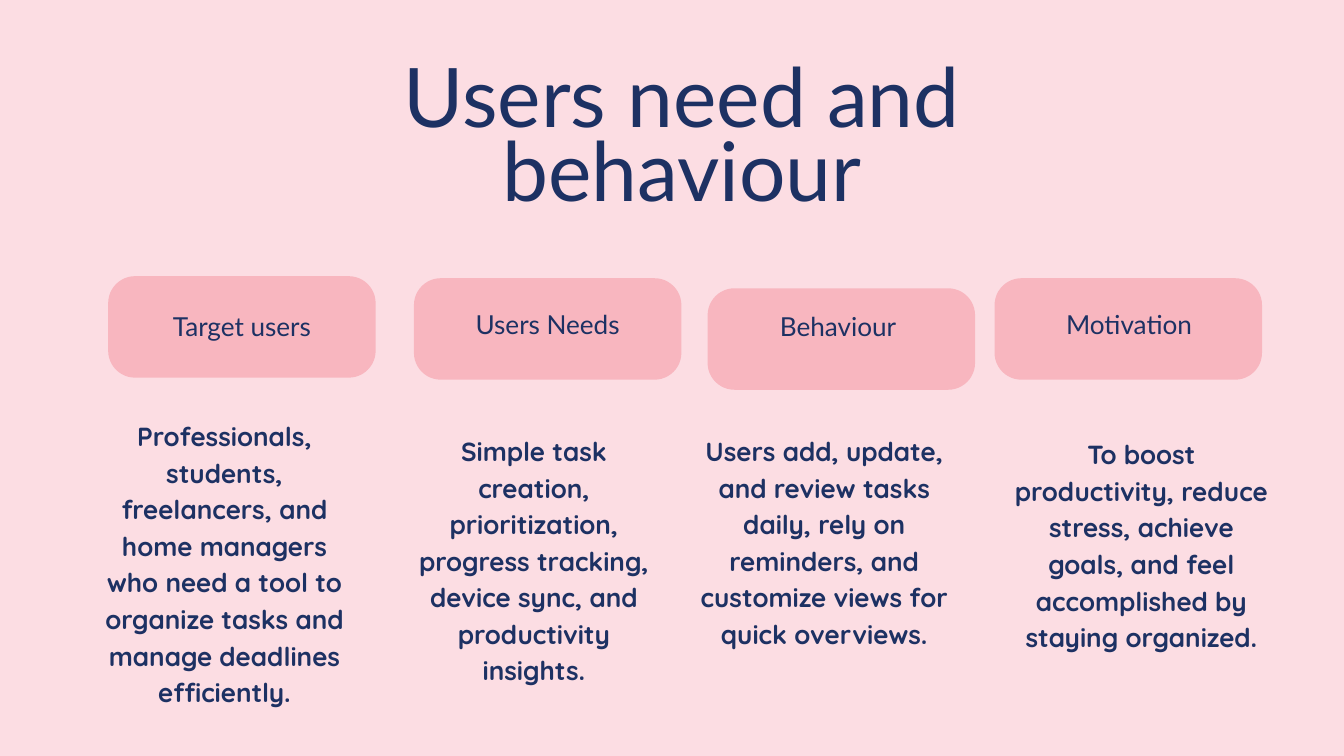
from pptx import Presentation
from pptx.dml.color import RGBColor
from pptx.enum.shapes import MSO_SHAPE
from pptx.enum.text import MSO_ANCHOR, MSO_AUTO_SIZE, PP_ALIGN
from pptx.util import Inches, Pt

ROUNDED = MSO_SHAPE.ROUNDED_RECTANGLE
TOP, CENTER, NO_FIT = MSO_ANCHOR.TOP, PP_ALIGN.CENTER, MSO_AUTO_SIZE.NONE
PINK, ROSE, NAVY = "FCDDE3", "F8B6BF", "1D3163"
CARD_W, CARD_H, CORNER = 3.98, 1.51, 0.4

# Content: each box is left, top, width, height in inches
TITLE = "Users need and behaviour"
COLUMNS = [
    {"card": (1.61, 4.11), "label": "Target users", "label_box": (1.92, 4.54, 3.36, 0.59),
     "body": "Professionals, students, freelancers, and home managers who need "
             "a tool to organize tasks and manage deadlines efficiently.",
     "body_box": (1.4, 6.18, 3.88, 4.31)},
    {"card": (6.16, 4.14), "label": "Users Needs", "label_box": (6.47, 4.51, 3.36, 0.59),
     "body": "Simple task creation, prioritization, progress tracking, "
             "device sync, and productivity insights.",
     "body_box": (6.06, 6.4, 3.77, 4.85)},
    {"card": (10.53, 4.29), "label": "Behaviour", "label_box": (10.79, 4.54, 3.36, 0.59),
     "body": "Users add, update, and review tasks daily, rely on reminders, "
             "and customize views for quick overviews.",
     "body_box": (10.38, 6.4, 3.77, 3.22)},
    {"card": (14.8, 4.14), "label": "Motivation", "label_box": (15.09, 4.63, 3.42, 0.5),
     "label_spacing": 30.8,
     "body": "To boost productivity, reduce stress, achieve goals, "
             "and feel accomplished by staying organized.",
     "body_box": (15.1, 6.45, 3.77, 3.77)},
]
TITLE_FONT = {"name": "Lato", "size": Pt(88), "bold": False}
LABEL_FONT = {"name": "Lato", "size": Pt(28), "bold": False}
BODY_FONT = {"name": "Quicksand", "size": Pt(28), "bold": True}
FRAME = {"margin_left": 0, "margin_right": 0, "margin_top": 0, "margin_bottom": 0,
         "word_wrap": True, "auto_size": NO_FIT, "vertical_anchor": TOP}


def set_attrs(obj, values):
    for name, value in values.items():
        setattr(obj, name, value)


def paint(fill, color):
    fill.solid()
    fill.fore_color.rgb = RGBColor.from_string(color)


def write(sp, text, font, spacing):
    tf = sp.text_frame
    set_attrs(tf, FRAME)
    p = tf.paragraphs[0]
    set_attrs(p, {"alignment": CENTER, "line_spacing": Pt(spacing), "space_before": Pt(0)})
    r = p.add_run()
    r.text = text
    set_attrs(r.font, font)
    paint(r.font.fill, NAVY)


def add_text(s, box, text, font, spacing=39.2):
    write(s.shapes.add_textbox(*map(Inches, box)), text, font, spacing)


def add_card(s, left, top):
    sp = s.shapes.add_shape(ROUNDED, *map(Inches, (left, top, CARD_W, CARD_H)))
    sp.adjustments[0] = CORNER / CARD_H
    sp.shadow.inherit = False
    paint(sp.fill, ROSE)
    sp.line.fill.background()


prs = Presentation()
prs.slide_width, prs.slide_height = Inches(20), Inches(11.25)
s = prs.slides.add_slide(prs.slide_layouts[5])
paint(s.background.fill, PINK)

# Title
title = s.shapes.title
set_attrs(title, {"left": Inches(3.82), "top": Inches(1.04),
                  "width": Inches(12.65), "height": Inches(2.47)})
write(title, TITLE, TITLE_FONT, 79.2)

# Four columns: card, label and description
for col in COLUMNS:
    add_card(s, *col["card"])
    add_text(s, col["label_box"], col["label"], LABEL_FONT, col.get("label_spacing", 39.2))
    add_text(s, col["body_box"], col["body"], BODY_FONT)

prs.save("out.pptx")
